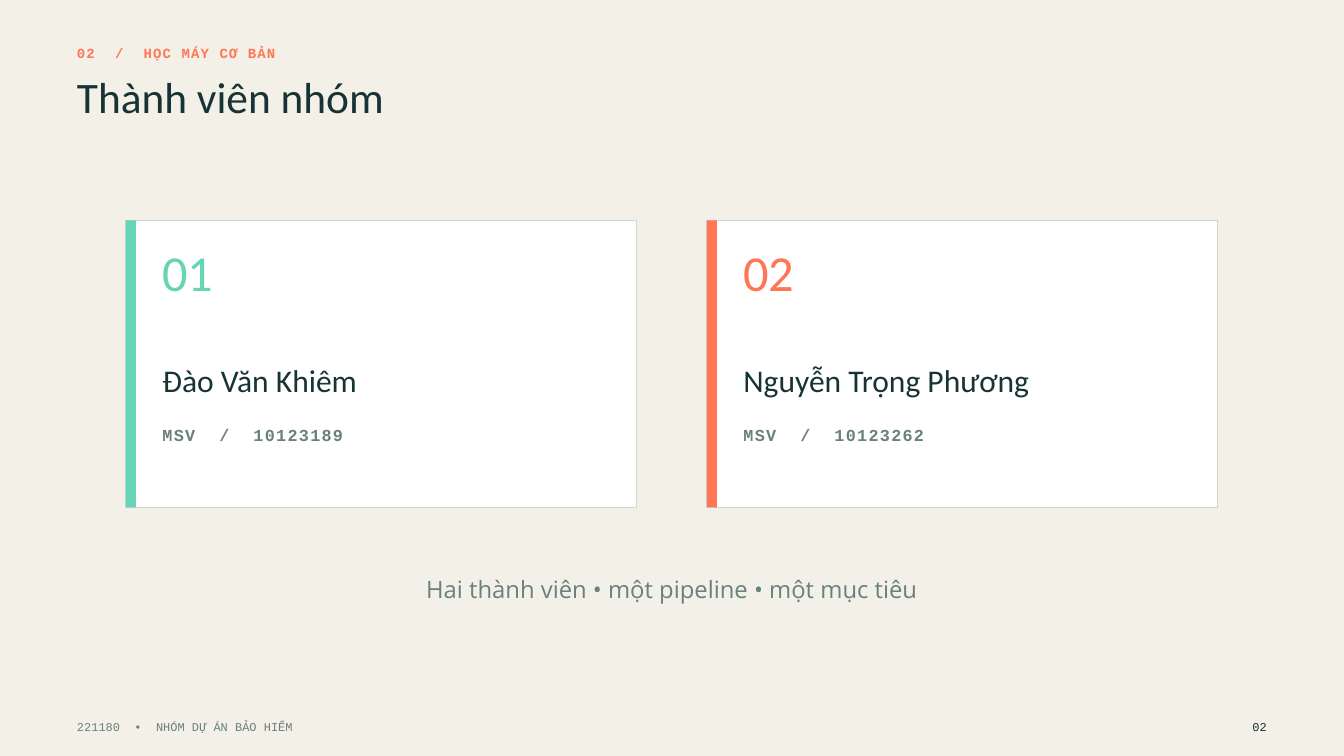
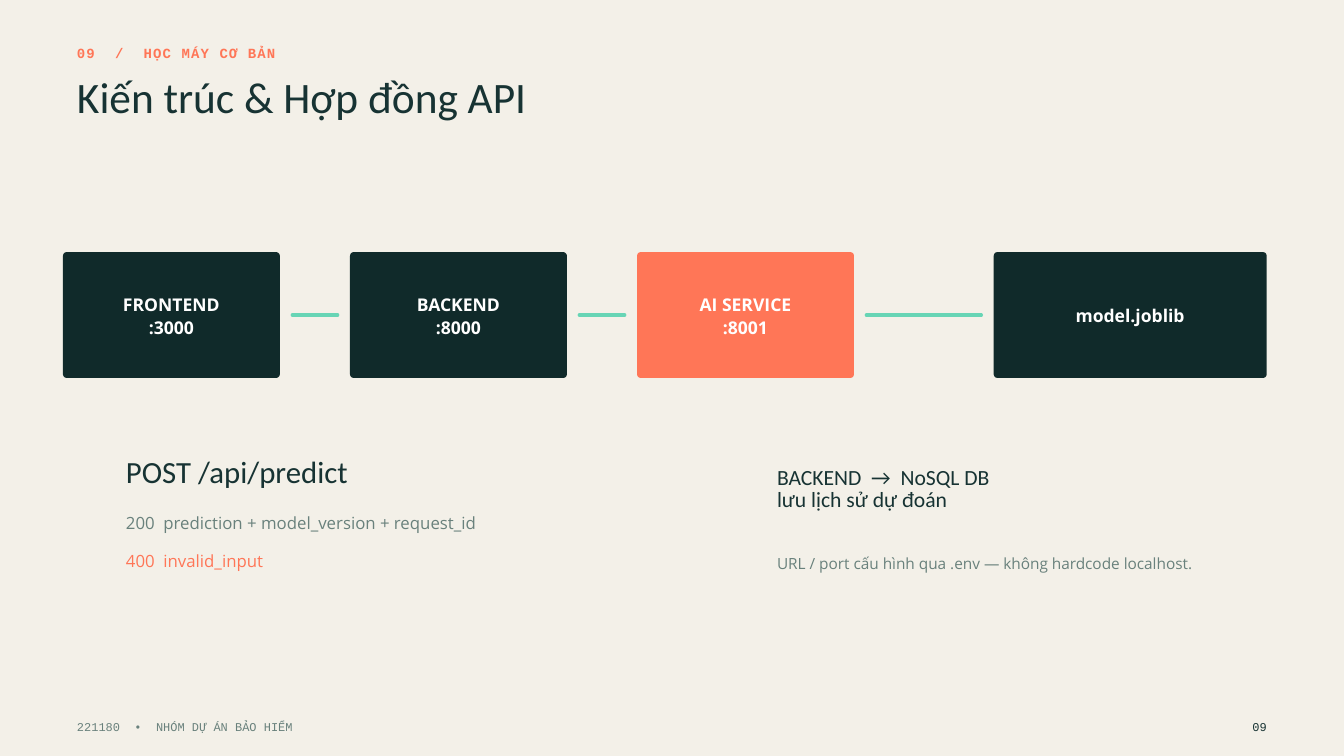
from dataclasses import dataclass

from lxml import etree
from pptx import Presentation
from pptx.dml.color import RGBColor
from pptx.enum.shapes import MSO_CONNECTOR, MSO_SHAPE
from pptx.enum.text import MSO_ANCHOR, MSO_AUTO_SIZE, PP_ALIGN
from pptx.oxml.ns import qn
from pptx.util import Cm, Pt

LEFT, CENTER, RIGHT = PP_ALIGN.LEFT, PP_ALIGN.CENTER, PP_ALIGN.RIGHT
TOP, MIDDLE = MSO_ANCHOR.TOP, MSO_ANCHOR.MIDDLE
NO_FIT, GROW = MSO_AUTO_SIZE.NONE, MSO_AUTO_SIZE.SHAPE_TO_FIT_TEXT
RECTANGLE, ROUNDED = MSO_SHAPE.RECTANGLE, MSO_SHAPE.ROUNDED_RECTANGLE
STRAIGHT = MSO_CONNECTOR.STRAIGHT

# Colours
PAPER = RGBColor(0xF3, 0xF0, 0xE8)
WHITE = RGBColor(0xFF, 0xFF, 0xFF)
INK = RGBColor(0x17, 0x33, 0x33)
DEEP = RGBColor(0x10, 0x2A, 0x2A)
MUTED = RGBColor(0x69, 0x81, 0x7C)
BORDER = RGBColor(0xCB, 0xD7, 0xD1)
CORAL = RGBColor(0xFF, 0x76, 0x57)
MINT = RGBColor(0x67, 0xD5, 0xB5)

# Fonts, with the width of a space as a share of the type size
HEAD, BODY, MONO = "Calibri", "Open Sans", "Courier New"
SPACE_WIDTH = {HEAD: 0.226, BODY: 0.26, MONO: 0.6}

# Shared positions, in centimetres
MARGIN = 2.91
RIGHT_EDGE = 47.88
CONTENT_LEFT = 4.76


@dataclass
class Style:
    font: str
    size: float
    color: RGBColor
    leading: float
    bold: bool = False
    tracking: float = 0


EYEBROW = Style(MONO, 15, CORAL, 21, True, 1.2)
TITLE = Style(HEAD, 46.5, INK, 47.4)
MEMBER_NAME = Style(HEAD, 33.8, INK, 34.4)
STUDENT_ID = Style(MONO, 18, MUTED, 25.2, True, 1.4)
TAGLINE = Style(BODY, 25.5, MUTED, 35.2)
FOOTER = Style(MONO, 12.8, MUTED, 17.8)
PAGE_NUMBER = Style(MONO, 12.8, INK, 17.8)
NODE = Style(BODY, 18.8, WHITE, 24.4, True)
ENDPOINT = Style(HEAD, 33, INK, 33.7)
SUCCESS = Style(BODY, 18, MUTED, 24.8)
FAILURE = Style(BODY, 18, CORAL, 24.8)
STORAGE = Style(HEAD, 23.2, INK, 23.7)
CONFIG_NOTE = Style(BODY, 16.5, MUTED, 22.8)


def add_run(paragraph, text, style, tracking):
    run = paragraph.add_run()
    run.text = text
    run.font.name = style.font
    run.font.size = Pt(style.size)
    run.font.bold = style.bold
    run.font.color.rgb = style.color
    if tracking:
        run.font._element.set("spc", str(round(tracking * 100)))


def write_lines(frame, lines, style, align=LEFT, anchor=TOP, inset=0, fit=NO_FIT):
    """Each line is a tuple of parts, set apart by a double-width space."""
    frame.word_wrap = True
    frame.auto_size = fit
    frame.vertical_anchor = anchor
    frame.margin_left = frame.margin_right = Cm(inset)
    frame.margin_top = frame.margin_bottom = Cm(inset)
    wide_space = SPACE_WIDTH[style.font] * style.size + 2 * style.tracking
    for index, parts in enumerate(lines):
        paragraph = frame.add_paragraph() if index else frame.paragraphs[0]
        paragraph.alignment = align
        paragraph.line_spacing = Pt(style.leading)
        paragraph.space_before = Pt(0)
        for position, part in enumerate(parts):
            if position:
                add_run(paragraph, " ", style, wide_space)
            add_run(paragraph, part, style, style.tracking)


def add_text(slide, left, top, width, height, lines, style, align=LEFT):
    box = slide.shapes.add_textbox(Cm(left), Cm(top), Cm(width), Cm(height))
    write_lines(box.text_frame, lines, style, align, fit=GROW)


def add_block(slide, preset, left, top, width, height, fill, border=None):
    block = slide.shapes.add_shape(preset, Cm(left), Cm(top), Cm(width), Cm(height))
    block.shadow.inherit = False
    block.fill.solid()
    block.fill.fore_color.rgb = fill
    if border:
        block.line.color.rgb = border
        block.line.width = Pt(1.5)
    else:
        block.line.fill.background()
    return block


def add_link(slide, start, end, y):
    link = slide.shapes.add_connector(STRAIGHT, Cm(start), Cm(y), Cm(end), Cm(y))
    link.line.color.rgb = MINT
    link.line.width = Pt(3.75)
    properties = link._element.spPr
    properties.find(qn("a:ln")).set("cap", "rnd")
    etree.SubElement(properties, qn("a:effectLst"))


def add_page(deck, number, title):
    """A slide with the shared eyebrow, title and footer."""
    slide = deck.slides.add_slide(deck.slide_layouts[5])
    add_text(slide, MARGIN, 1.58, 17.2, 0.69,
             [(number, "/", "HỌC MÁY CƠ BẢN")], EYEBROW)

    heading = slide.shapes.title
    heading.left, heading.top = Cm(MARGIN), Cm(2.95)
    heading.width, heading.height = Cm(39.67), Cm(1.83)
    write_lines(heading.text_frame, [(title,)], TITLE)

    add_text(slide, MARGIN, 27.1, 18.52, 0.56,
             [("221180", "•", "NHÓM DỰ ÁN BẢO HIỂM")], FOOTER)
    add_text(slide, RIGHT_EDGE - 1.85, 27.1, 1.85, 0.56, [(number,)], PAGE_NUMBER, RIGHT)
    return slide


def add_member_card(slide, left, number, name, student_id, accent):
    top, height = 8.33, 10.85
    add_block(slide, RECTANGLE, left, top, 19.3, height, WHITE, BORDER)
    add_block(slide, RECTANGLE, left, top, 0.38, height, accent)
    text_left = left + 1.38
    add_text(slide, text_left, top + 1.12, 2.92, 2.11, [(number,)],
             Style(HEAD, 54, accent, 55.1))
    add_text(slide, text_left, top + 5.54, 15.88, 1.3, [(name,)], MEMBER_NAME)
    add_text(slide, text_left, top + 7.6, 13.23, 0.84,
             [("MSV", "/", student_id)], STUDENT_ID)


def add_service_chain(slide):
    top, height, link_gap = 9.53, 4.76, 0.47
    first, step, width = 2.38, 10.85, 8.2
    model_width = 10.32
    nodes = [
        (first, width, DEEP, [("FRONTEND",), (":3000",)]),
        (first + step, width, DEEP, [("BACKEND",), (":8000",)]),
        (first + 2 * step, width, CORAL, [("AI SERVICE",), (":8001",)]),
        (RIGHT_EDGE - model_width, model_width, DEEP, [("model.joblib",)]),
    ]
    previous_right = None
    for left, node_width, fill, lines in nodes:
        if previous_right is not None:
            add_link(slide, previous_right + link_gap, left - link_gap, top + height / 2)
        node = add_block(slide, ROUNDED, left, top, node_width, height, fill)
        node.adjustments[0] = 0.03
        write_lines(node.text_frame, lines, NODE, CENTER, MIDDLE, inset=0.15)
        previous_right = left + node_width


def build_members(deck):
    slide = add_page(deck, "02", "Thành viên nhóm")
    members = [
        ("01", "Đào Văn Khiêm", "10123189", MINT),
        ("02", "Nguyễn Trọng Phương", "10123262", CORAL),
    ]
    for index, member in enumerate(members):
        add_member_card(slide, CONTENT_LEFT + index * 21.96, *member)
    add_text(slide, 7.94, 21.56, 34.92, 1.19,
             [("Hai thành viên • một pipeline • một mục tiêu",)], TAGLINE, CENTER)


def build_architecture(deck):
    slide = add_page(deck, "09", "Kiến trúc & Hợp đồng API")
    add_service_chain(slide)

    # API contract
    add_text(slide, CONTENT_LEFT, 17.32, 15.88, 1.27, [("POST /api/predict",)], ENDPOINT)
    add_text(slide, CONTENT_LEFT, 19.27, 19.05, 0.81,
             [("200", "prediction + model_version + request_id")], SUCCESS)
    add_text(slide, CONTENT_LEFT, 20.71, 15.88, 0.81, [("400", "invalid_input")], FAILURE)

    # Storage and configuration
    storage_left = 29.37
    add_text(slide, storage_left, 17.68, 14.81, 1.7,
             [("BACKEND", "→", "NoSQL DB"), ("lưu lịch sử dự đoán",)], STORAGE)
    add_text(slide, storage_left, 20.83, 16.41, 0.76,
             [("URL / port cấu hình qua .env — không hardcode localhost.",)], CONFIG_NOTE)


def main():
    deck = Presentation()
    deck.slide_width, deck.slide_height = Cm(50.8), Cm(28.58)
    background = deck.slide_master.background.fill
    background.solid()
    background.fore_color.rgb = PAPER
    build_members(deck)
    build_architecture(deck)
    deck.save("out.pptx")


if __name__ == "__main__":
    main()
